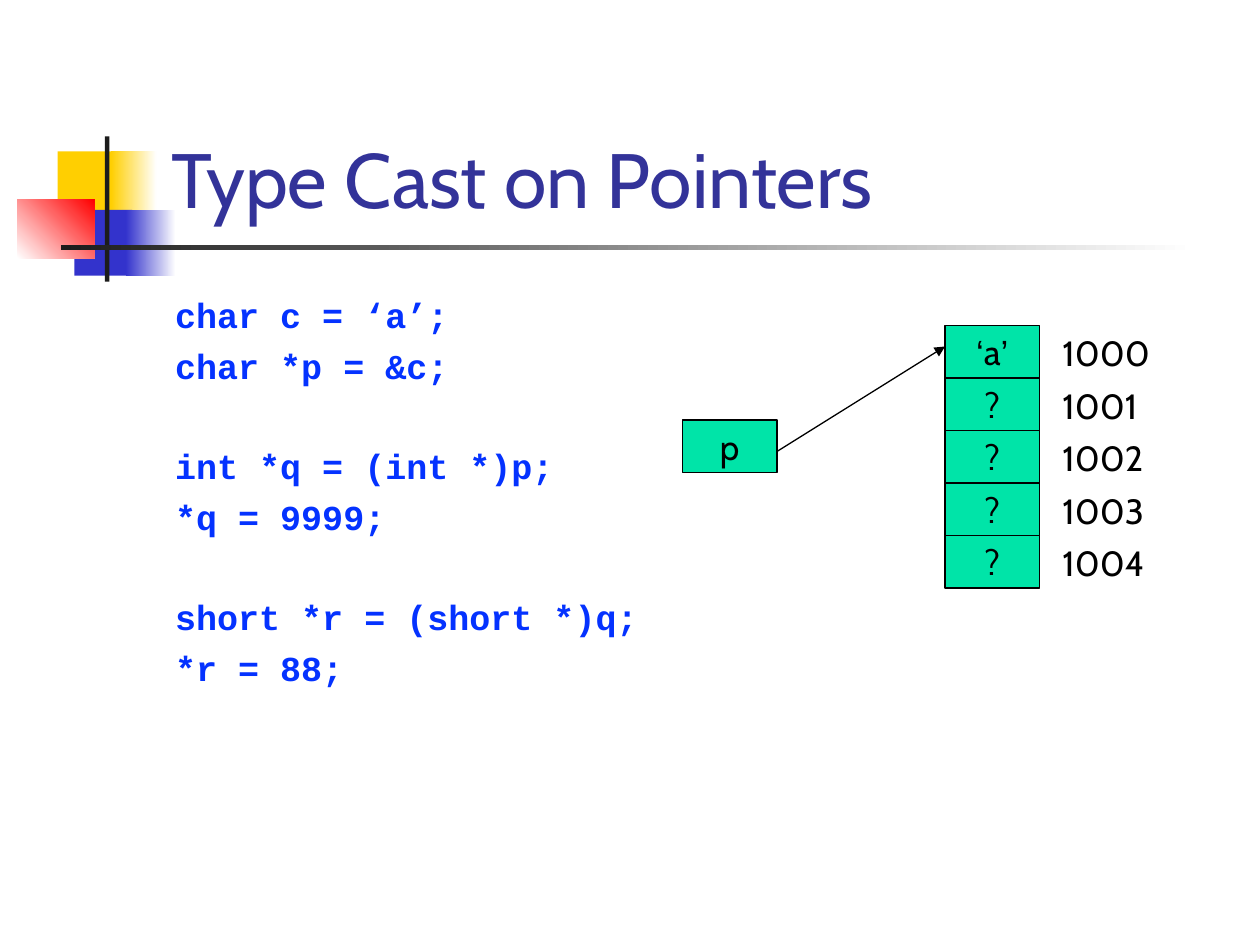
from lxml import etree
from pptx import Presentation
from pptx.dml.color import RGBColor
from pptx.enum.shapes import MSO_CONNECTOR, MSO_SHAPE
from pptx.enum.text import MSO_ANCHOR, PP_ALIGN
from pptx.oxml.ns import qn
from pptx.util import Pt

RECT = MSO_SHAPE.RECTANGLE
STRAIGHT = MSO_CONNECTOR.STRAIGHT
TOP, MIDDLE, BOTTOM = MSO_ANCHOR.TOP, MSO_ANCHOR.MIDDLE, MSO_ANCHOR.BOTTOM
CENTER = PP_ALIGN.CENTER

COLORS = {"yellow": "FFCF01", "blue": "3333CC", "red": "FF0000",
          "white": "FFFFFF", "ink": "1C1C1C", "title": "333399",
          "code": "0432FF", "cell": "00E4A8", "black": "000000"}
HEAD_FONT, CODE_FONT, QUOTE_FONT = "Cabin", "Courier New", "Arial"
CODE_GROUPS = [
    ["char c = ‘a’;", "char *p = &c;"],
    ["int *q = (int *)p;", "*q = 9999;"],
    ["short *r = (short *)q;", "*r = 88;"],
]
CELLS = ["‘a’", "?", "?", "?", "?"]
FIRST_ADDRESS = 1000
CELL_W, CELL_H = 54, 30
LINE_GAP, GROUP_GAP = 5.25, 33.15


def rgb(name):
    return RGBColor.from_string(COLORS[name])


def style(font, name, size, color, bold=False):
    font.name, font.size, font.bold = name, Pt(size), bold
    font.color.rgb = rgb(color)


def add_rect(page, left, top, width, height, color, fade_to=None, angle=0):
    """Plain or two-colour rectangle without an outline."""
    rect = page.shapes.add_shape(RECT, Pt(left), Pt(top), Pt(width), Pt(height))
    rect.shadow.inherit = False
    rect.line.fill.background()
    if fade_to:
        rect.fill.gradient()
        rect.fill.gradient_angle = angle
        for stop, name in zip(rect.fill.gradient_stops, (color, fade_to)):
            stop.color.rgb = rgb(name)
    else:
        rect.fill.solid()
        rect.fill.fore_color.rgb = rgb(color)
    return rect


def add_text_box(page, left, top, width, height, anchor=TOP):
    box = page.shapes.add_textbox(Pt(left), Pt(top), Pt(width), Pt(height))
    box.text_frame.word_wrap = True
    box.text_frame.vertical_anchor = anchor
    return box.text_frame


def add_ornament(page, left, top):
    """Coloured squares crossed by two bars."""
    add_rect(page, left + 23, top + 8.5, 34.5, 37.5, "yellow")
    add_rect(page, left + 53.5, top + 8.5, 26, 37.5, "yellow", "white")
    add_rect(page, left + 32.5, top + 42, 33, 37.5, "blue")
    add_rect(page, left + 62, top + 42, 28.5, 37.5, "blue", "white")
    add_rect(page, left, top + 36, 44, 33.5, "white", "red", angle=45)
    add_rect(page, left + 50, top, 2.5, 83, "ink")
    add_rect(page, left + 25, top + 62.25, 648, 2.5, "ink", "white")


def add_title(page, left, top, width, height):
    frame = add_text_box(page, left, top, width, height, BOTTOM)
    para = frame.paragraphs[0]
    para.text = "Type Cast on Pointers"
    style(para.font, HEAD_FONT, 44, "title")


def add_code(page, left, top, width, height):
    """Code lines, with a wider gap before each new group."""
    frame = add_text_box(page, left, top, width, height)
    for group_index, group in enumerate(CODE_GROUPS):
        for line_index, line in enumerate(group):
            if group_index == line_index == 0:
                para = frame.paragraphs[0]
            else:
                para = frame.add_paragraph()
                para.space_before = Pt(LINE_GAP if line_index else GROUP_GAP)
            para.text = line
            style(para.font, CODE_FONT, 20, "code", bold=True)


def add_cell(page, left, top, text):
    cell = add_rect(page, left, top, CELL_W, CELL_H, "cell")
    cell.line.color.rgb = rgb("black")
    cell.line.width = Pt(0.75)
    frame = cell.text_frame
    frame.word_wrap = False
    frame.vertical_anchor = MIDDLE
    para = frame.paragraphs[0]
    para.alignment = CENTER
    style(para.font, HEAD_FONT, 20, "black")
    # Quotation marks are set in their own font
    for part in (text if "‘" in text else [text]):
        span = para.add_run()
        span.text = part
        if part in "‘’":
            span.font.name = QUOTE_FONT


def add_arrow(page, start, end):
    arrow = page.shapes.add_connector(STRAIGHT, *map(Pt, start + end))
    arrow.line.color.rgb = rgb("black")
    arrow.line.width = Pt(0.75)
    etree.SubElement(arrow.line._get_or_add_ln(), qn("a:tailEnd"), type="triangle")
    etree.SubElement(arrow._element.spPr, qn("a:effectLst"))


def add_memory(page, left, top):
    """Pointer p, the memory column it points into, and the addresses."""
    column = left + 150
    for index, text in enumerate(CELLS):
        row_top = top + index * CELL_H
        add_cell(page, column, row_top, text)
        frame = add_text_box(page, column + 60, row_top, 102, 31)
        para = frame.paragraphs[0]
        para.text = str(FIRST_ADDRESS + index)
        style(para.font, HEAD_FONT, 20, "black")
    add_cell(page, left, top + 54, "p")
    add_arrow(page, (left + CELL_W, top + 72), (column, top + 12))


def main():
    deck = Presentation()
    deck.slide_width, deck.slide_height = Pt(720), Pt(540)
    page = deck.slides.add_slide(deck.slide_layouts[6])
    add_ornament(page, 10, 78)
    add_title(page, 91, 16.5, 613, 115)
    add_code(page, 93, 164, 612, 319)
    add_memory(page, 390, 186)
    deck.save("out.pptx")


if __name__ == "__main__":
    main()
